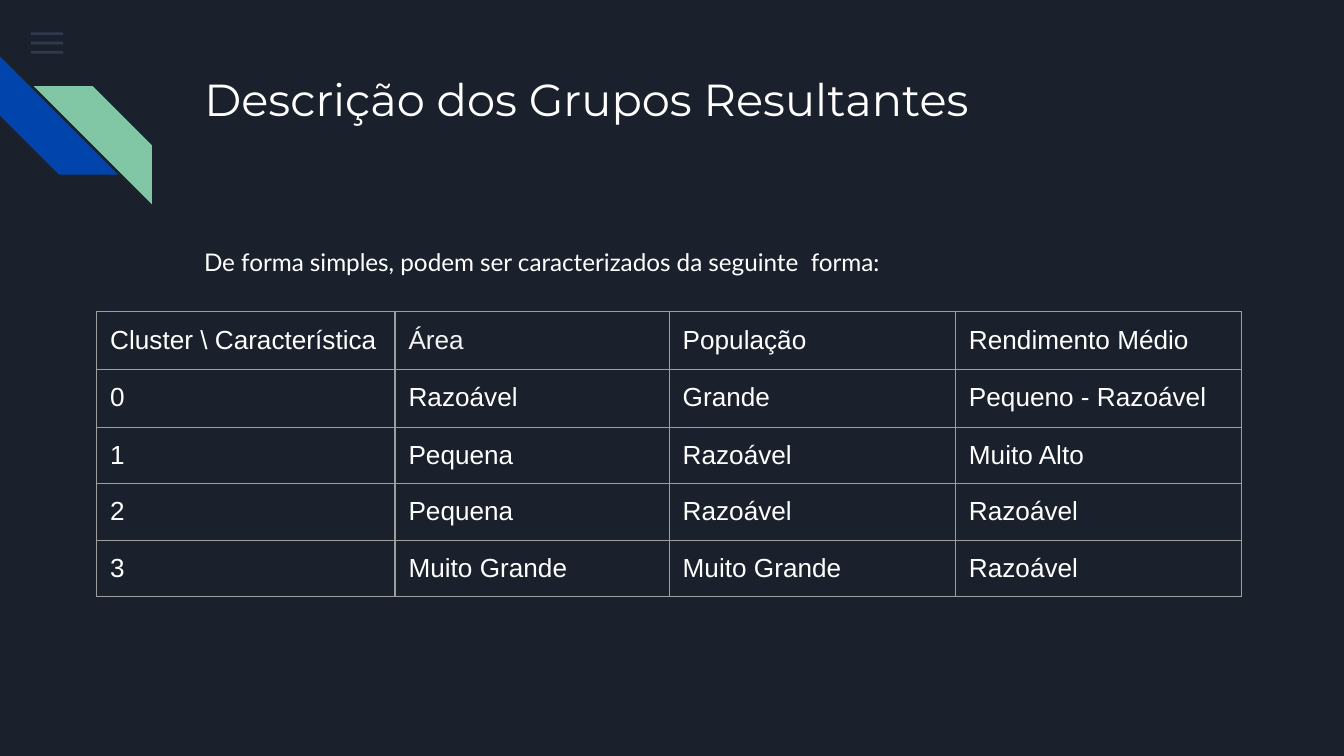
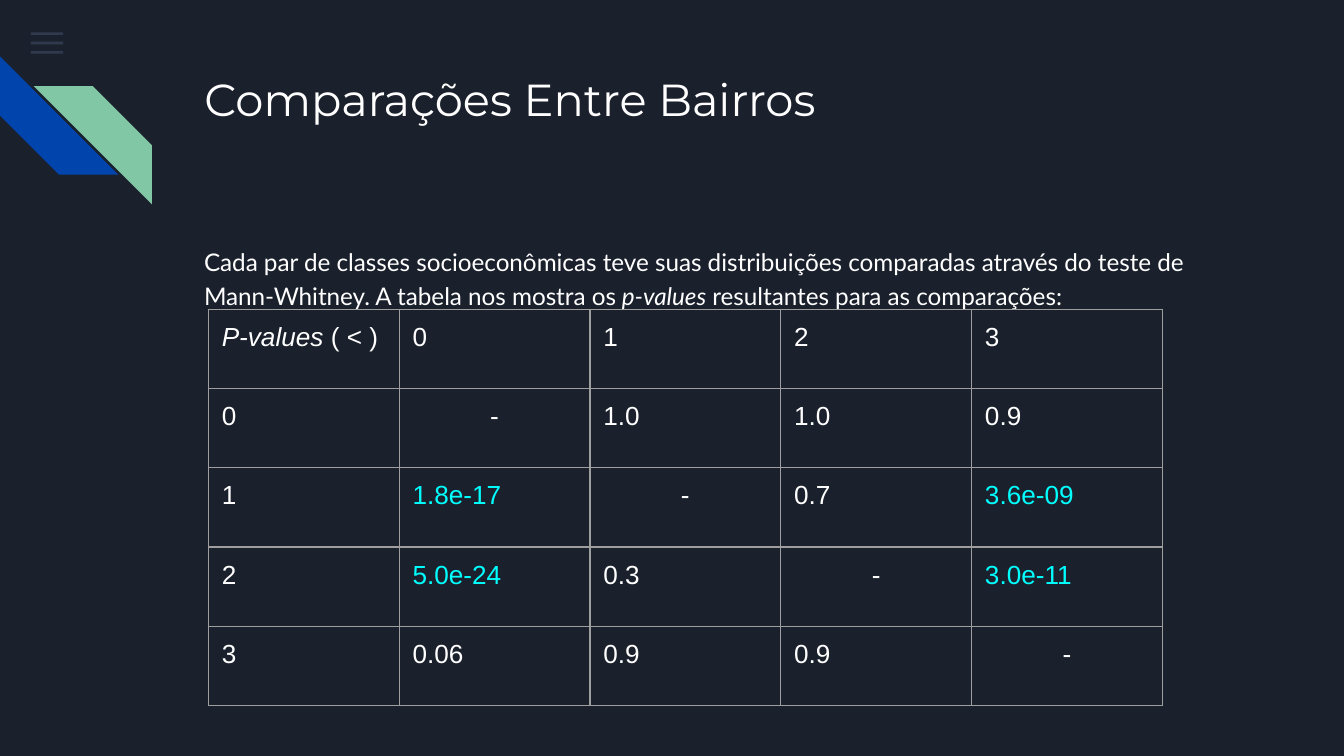
from dataclasses import dataclass

from lxml.etree import SubElement
from pptx import Presentation
from pptx.dml.color import RGBColor as RGB
from pptx.enum.shapes import MSO_SHAPE as Shape, PP_PLACEHOLDER as Holder
from pptx.enum.text import MSO_ANCHOR as Anchor, MSO_AUTO_SIZE as AutoSize, PP_ALIGN as Align
from pptx.oxml.ns import qn
from pptx.util import Inches, Pt


@dataclass(frozen=True)
class Theme:
    background: RGB = RGB.from_string("1B212C")
    menu: RGB = RGB.from_string("55688B")
    blue: RGB = RGB.from_string("0145AC")
    green: RGB = RGB.from_string("82C7A5")
    white: RGB = RGB.from_string("FFFFFF")
    off_white: RGB = RGB.from_string("F3F3F3")
    highlight: RGB = RGB.from_string("00FFFF")
    border: str = "9E9E9E"
    title_size: Pt = Pt(24)
    body_size: Pt = Pt(13)
    table_size: Pt = Pt(14)


theme = Theme()
TITLE = {"name": "Montserrat", "size": theme.title_size}
BODY = {"name": "Lato", "size": theme.body_size}
TABLE = {"name": "Arial", "size": theme.table_size}
MARGINS = {f"margin_{side}": Inches(0.1) for side in ("left", "right", "top", "bottom")}
FRAME = {"word_wrap": True, "auto_size": AutoSize.NONE, "vertical_anchor": Anchor.TOP, **MARGINS}


def write(frame, segments, style, color=theme.white, align=Align.LEFT, spacing=None):
    """Fill a frame with one paragraph; segments are (text, italic) pairs or a plain text."""
    paragraph = frame.paragraphs[0]
    paragraph.alignment = align
    paragraph.line_spacing = spacing
    if isinstance(segments, str):
        segments = [(segments, False)]
    for text, italic in segments:
        run = paragraph.add_run()
        run.text = text
        run.font.color.rgb = color
        for key, value in {**style, "bold": False, "italic": italic}.items():
            setattr(run.font, key, value)


def add_border(cell):
    properties = cell._tc.get_or_add_tcPr()
    for edge in ("a:lnL", "a:lnR", "a:lnT", "a:lnB"):
        line = SubElement(properties, qn(edge), w=str(Pt(0.75)))
        fill = SubElement(line, qn("a:solidFill"))
        SubElement(fill, qn("a:srgbClr"), val=theme.border)


content = [
    {
        "title": "Descrição dos Grupos Resultantes",
        "intro": "De forma simples, podem ser caracterizados da seguinte  forma:",
        "intro_height": 0.36,
        "origin": (0.72, 2.32),
        "columns": [2.22, 2.04, 2.13, 2.13],
        "heights": [0.43, 0.43, 0.42, 0.42, 0.42],
        "rows": [
            ["Cluster \\ Característica", "Área", "População", "Rendimento Médio"],
            ["0", "Razoável", "Grande", "Pequeno - Razoável"],
            ["1", "Pequena", "Razoável", "Muito Alto"],
            ["2", "Pequena", "Razoável", "Razoável"],
            ["3", "Muito Grande", "Muito Grande", "Razoável"],
        ],
        "colors": {(0, 1): theme.off_white},
    },
    {
        "title": "Comparações Entre Bairros",
        "intro": [
            ("Cada par de classes socioeconômicas teve suas distribuições comparadas "
             "através do teste de Mann-Whitney. A tabela nos mostra os ", False),
            ("p-values", True),
            (" resultantes para as comparações:", False),
        ],
        "intro_height": 3.18,
        "origin": (1.55, 2.3),
        "columns": [1.42] * 5,
        "heights": [0.59] * 5,
        "rows": [
            [[("P-values", True), (" ( < )", False)], "0", "1", "2", "3"],
            ["0", "-", "1.0", "1.0", "0.9"],
            ["1", "1.8e-17", "-", "0.7", "3.6e-09"],
            ["2", "5.0e-24", "0.3", "-", "3.0e-11"],
            ["3", "0.06", "0.9", "0.9", "-"],
        ],
        "colors": dict.fromkeys([(2, 1), (2, 4), (3, 1), (3, 4)], theme.highlight),
    },
]

deck = Presentation()
deck.slide_width = Inches(10)
deck.slide_height = deck.slide_width * 9 // 16
layout = deck.slide_layouts[5]
background = layout.background.fill
background.solid()
background.fore_color.rgb = theme.background
for placeholder in list(layout.placeholders):
    if placeholder.placeholder_format.type != Holder.TITLE:
        layout.shapes.element.remove(placeholder.element)

slides = [deck.slides.add_slide(layout) for _ in content]

# Menu bars and stripes are built once, then moved to the layout.
ornaments = [
    (Shape.RECTANGLE, 0.23, 0.24 + 0.07 * i, 0.24, 0.02, theme.menu) for i in range(3)
] + [
    (Shape.DIAGONAL_STRIPE, 0, 0.42, 0.88, 0.88, theme.blue),
    (Shape.DIAGONAL_STRIPE, 0.25, 0.64, 0.88, 0.88, theme.green),
]
for preset, left, top, width, height, color in ornaments:
    ornament = slides[0].shapes.add_shape(
        preset, Inches(left), Inches(top), Inches(width), Inches(height))
    ornament.shadow.inherit = False
    ornament.fill.solid()
    ornament.fill.fore_color.rgb = color
    ornament.line.fill.background()
    if color == theme.menu:
        tint = ornament.element.spPr.find(f"{qn('a:solidFill')}/{qn('a:srgbClr')}")
        SubElement(tint, qn("a:alpha"), val="36000")
    elif color == theme.blue:
        ornament.rotation = 270
    else:
        ornament.element.spPr.find(qn("a:xfrm")).set("flipH", "1")
    layout.shapes.element.append(ornament.element)

for slide, part in zip(slides, content):
    title = slide.shapes.title
    title.left, title.top = Inches(1.42), Inches(0.43)
    title.width, title.height = Inches(7.7), Inches(1)
    intro = slide.shapes.add_textbox(
        Inches(1.42), Inches(1.71), Inches(7.7), Inches(part["intro_height"]))
    for box in (title, intro):
        for key, value in FRAME.items():
            setattr(box.text_frame, key, value)
    write(title.text_frame, part["title"], TITLE)
    write(intro.text_frame, part["intro"], BODY, spacing=1.15)

    columns, heights = part["columns"], part["heights"]
    left, top = part["origin"]
    grid = slide.shapes.add_table(
        len(heights), len(columns), Inches(left), Inches(top),
        Inches(sum(columns)), Inches(sum(heights))).table
    grid.first_row = grid.horz_banding = False
    for column, width in zip(grid.columns, columns):
        column.width = Inches(width)
    for row, height in zip(grid.rows, heights):
        row.height = Inches(height)
    for r, values in enumerate(part["rows"]):
        for c, value in enumerate(values):
            cell = grid.cell(r, c)
            add_border(cell)
            cell.fill.background()
            for key, margin in MARGINS.items():
                setattr(cell, key, margin)
            write(cell.text_frame, value, TABLE,
                  color=part["colors"].get((r, c), theme.white),
                  align=Align.CENTER if value == "-" else Align.LEFT)

deck.save("out.pptx")
